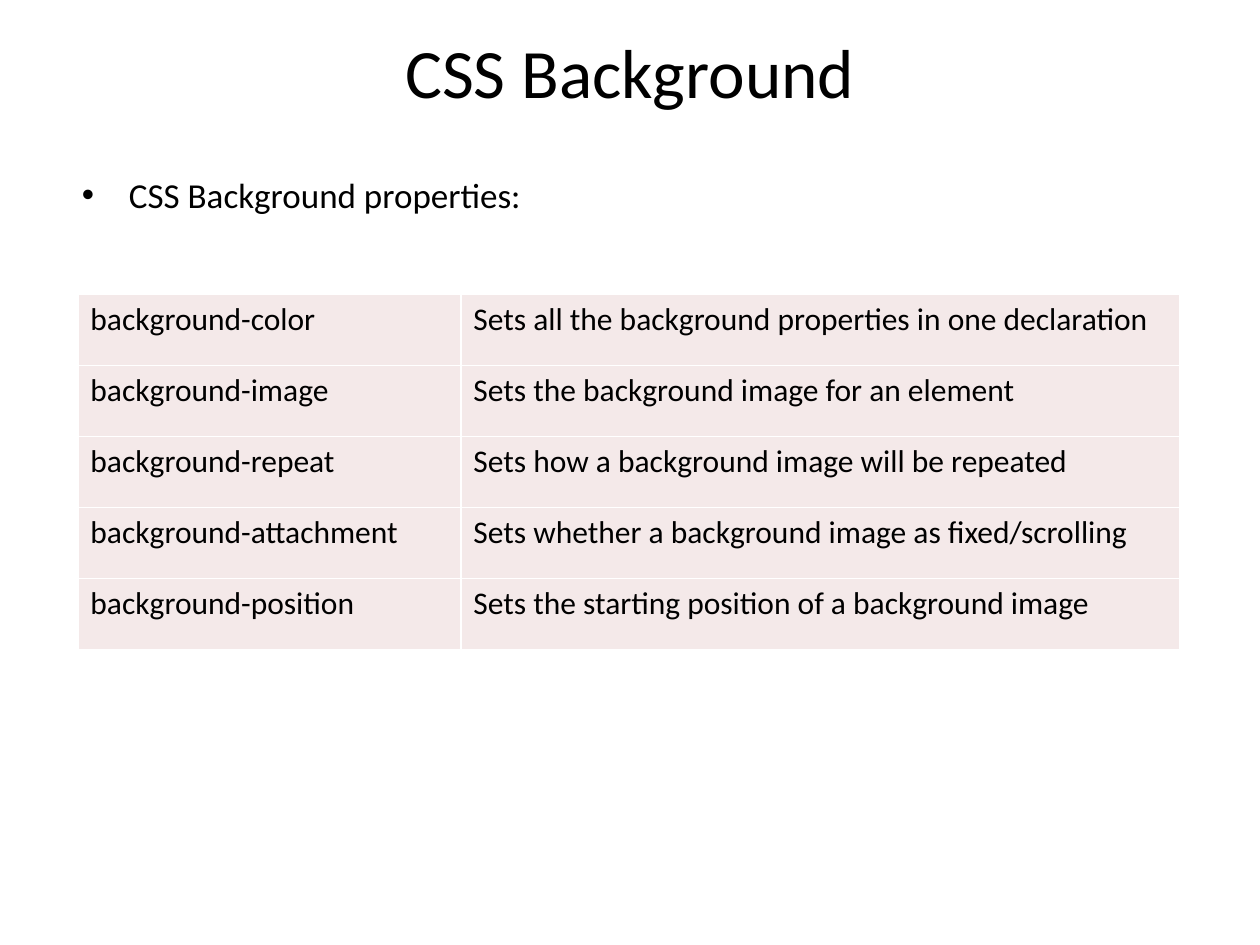
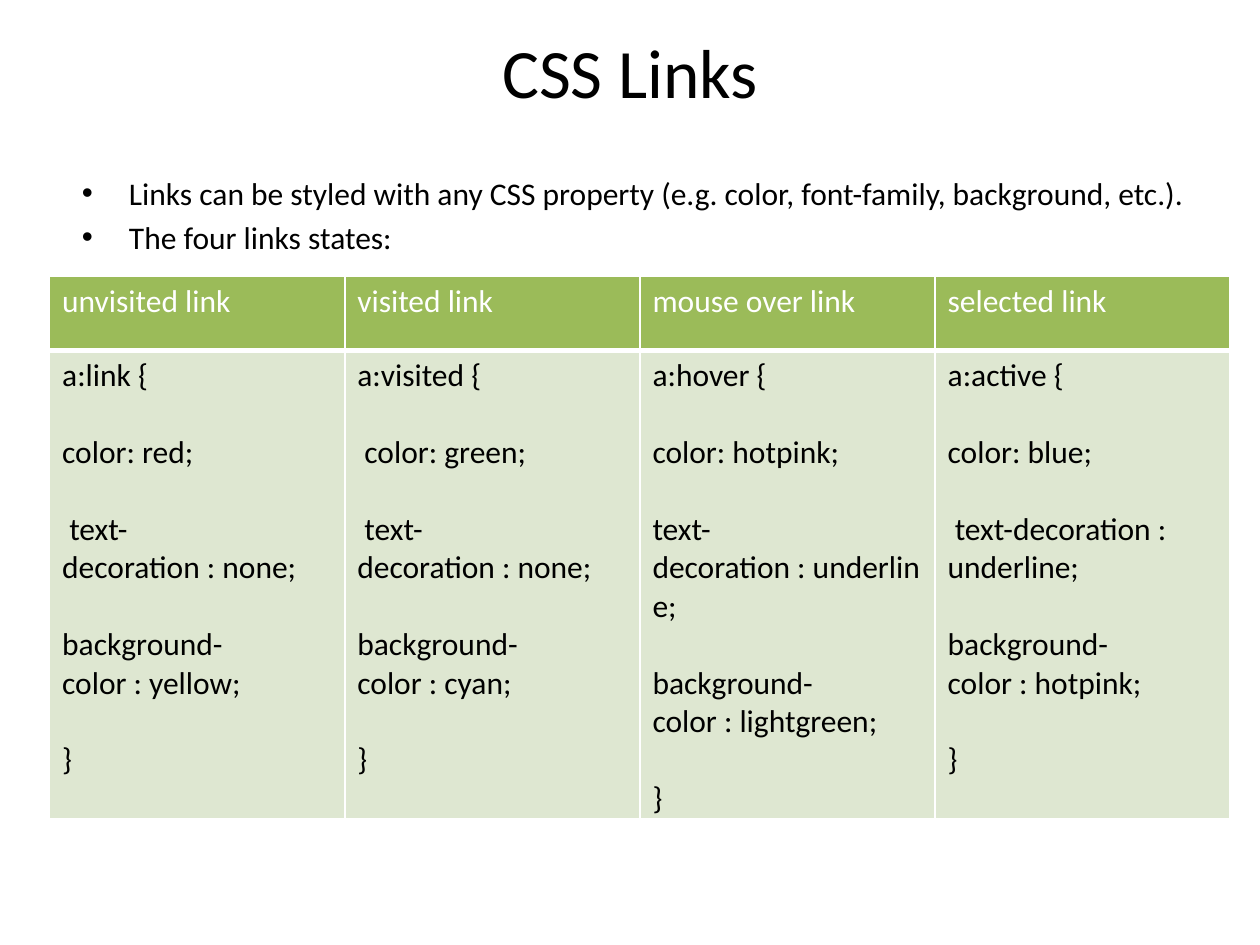
from lxml.etree import SubElement
from pptx import Presentation
from pptx.dml.color import RGBColor
from pptx.enum.text import MSO_ANCHOR as Anchor, PP_ALIGN as Align
from pptx.oxml.ns import qn
from pptx.util import Cm, Pt

BLACK, WHITE = "000000", "FFFFFF"
ROSE, GREEN, PALE_GREEN = "F4E9E9", "9BBB59", "DEE7D1"
LINE_HEIGHT = 1.22


def color(hex_value):
    return RGBColor.from_string(hex_value)


def glued(text):
    """Turn each ~ into a non-breaking space."""
    return text.replace("~", chr(160))


def assign(target, values):
    for name, value in values.items():
        setattr(target, name, value)


class Deck:
    font = "Calibri"
    title_size = 39.6
    table_size = 18

    def __init__(self):
        self.show = Presentation()
        assign(self.show, {"slide_width": Cm(25.4), "slide_height": Cm(19.05)})
        self.slide = None

    def add_slide(self, title):
        self.slide = self.show.slides.add_slide(self.show.slide_layouts[6])
        frame = self.text_frame(1.27, 0.58, 22.86, 2.82)
        assign(frame, {"margin_top": 0, "margin_bottom": 0})
        self.add_lines(frame, [title], self.title_size, alignment=Align.CENTER)

    def text_frame(self, left, top, width, height):
        box = self.slide.shapes.add_textbox(Cm(left), Cm(top), Cm(width), Cm(height))
        assign(box.text_frame, {"word_wrap": True, "vertical_anchor": Anchor.TOP})
        return box.text_frame

    def add_lines(self, frame, lines, size, ink=BLACK, **paragraph_format):
        for index, line in enumerate(lines):
            paragraph = frame.add_paragraph() if index else frame.paragraphs[0]
            assign(paragraph, paragraph_format)
            run = paragraph.add_run()
            run.text = glued(line)
            assign(run.font, {"name": self.font, "size": Pt(size)})
            run.font.color.rgb = color(ink)

    def bullets(self, lines, size):
        frame = self.text_frame(1.4, 3.38, 22.86, 12.57)
        self.add_lines(frame, lines, size, space_before=Pt(size * 0.2))
        for paragraph in frame.paragraphs:
            properties = paragraph._p.get_or_add_pPr()
            properties.set("marL", str(Cm(0.95)))
            properties.set("indent", str(-Cm(0.95)))
            SubElement(properties, qn("a:buFont"), typeface="Arial")
            SubElement(properties, qn("a:buChar"), char="•")

    def table(self, left, top, widths, heights):
        grid = self.slide.shapes.add_table(
            len(heights), len(widths), Cm(left), Cm(top),
            Cm(sum(widths)), Cm(sum(heights))).table
        assign(grid, {"first_row": False, "horz_banding": False})
        for column, width in zip(grid.columns, widths):
            column.width = Cm(width)
        for row, height in zip(grid.rows, heights):
            row.height = Cm(height)
        return grid

    def cell(self, cell, lines, fill, ink=BLACK, top=1, bottom=1):
        """Fill one table cell; top and bottom are border widths in points."""
        self.add_lines(cell.text_frame, lines, self.table_size, ink)
        for paragraph in cell.text_frame.paragraphs[1:]:
            paragraph.space_before = Pt(self.table_size * LINE_HEIGHT)
        properties = cell._tc.get_or_add_tcPr()
        for side, width in {"L": 1, "R": 1, "T": top, "B": bottom}.items():
            border = SubElement(properties, qn(f"a:ln{side}"), w=str(Pt(width)))
            paint = SubElement(border, qn("a:solidFill"))
            SubElement(paint, qn("a:srgbClr"), val=WHITE)
        cell.fill.solid()
        cell.fill.fore_color.rgb = color(fill)


BACKGROUND_PROPERTIES = {
    "background-color": "Sets all the background properties in one declaration",
    "background-image": "Sets the background image for an element",
    "background-repeat": "Sets how a background image will be repeated",
    "background-attachment": "Sets whether a background image as fixed/scrolling",
    "background-position": "Sets the starting position of a background image",
}

# State: selector, color line, decoration line, background color
LINK_STATES = {
    "unvisited link": ("link", "color:~red;", "~text-decoration :~none;", "yellow"),
    "visited link": ("visited", "~color:~green;", "~text-decoration :~none;", "cyan"),
    "mouse over link": ("hover", "color:~hotpink;", "text-decoration :~underline;",
                        "lightgreen"),
    "selected link~": ("active", "color:~blue;", "~text-decoration : underline;",
                       "hotpink"),
}


def background_slide(deck):
    deck.add_slide("CSS Background")
    deck.bullets(["CSS Background properties:"], 20)
    grid = deck.table(1.57, 5.94, [7.72, 14.5], [1.43] * len(BACKGROUND_PROPERTIES))
    for row, entry in enumerate(BACKGROUND_PROPERTIES.items()):
        for column, text in enumerate(entry):
            deck.cell(grid.cell(row, column), [text], ROSE)


def links_slide(deck):
    deck.add_slide("CSS~Links")
    deck.bullets(["Links can be styled with any CSS property "
                  "(e.g.~color,~font-family,~background, etc.).",
                  "The four links states:"], 18)
    grid = deck.table(1, 5.56, [5.95] * len(LINK_STATES), [1.5, 9.22])
    for column, (state, rule) in enumerate(LINK_STATES.items()):
        selector, text_color, decoration, background = rule
        code = [f"a:{selector}~{{", text_color, decoration,
                f"background-color :~{background};", "}"]
        deck.cell(grid.cell(0, column), [state], GREEN, WHITE, bottom=3)
        deck.cell(grid.cell(1, column), code, PALE_GREEN, top=3)


def main():
    deck = Deck()
    background_slide(deck)
    links_slide(deck)
    deck.show.save("out.pptx")


if __name__ == "__main__":
    main()
